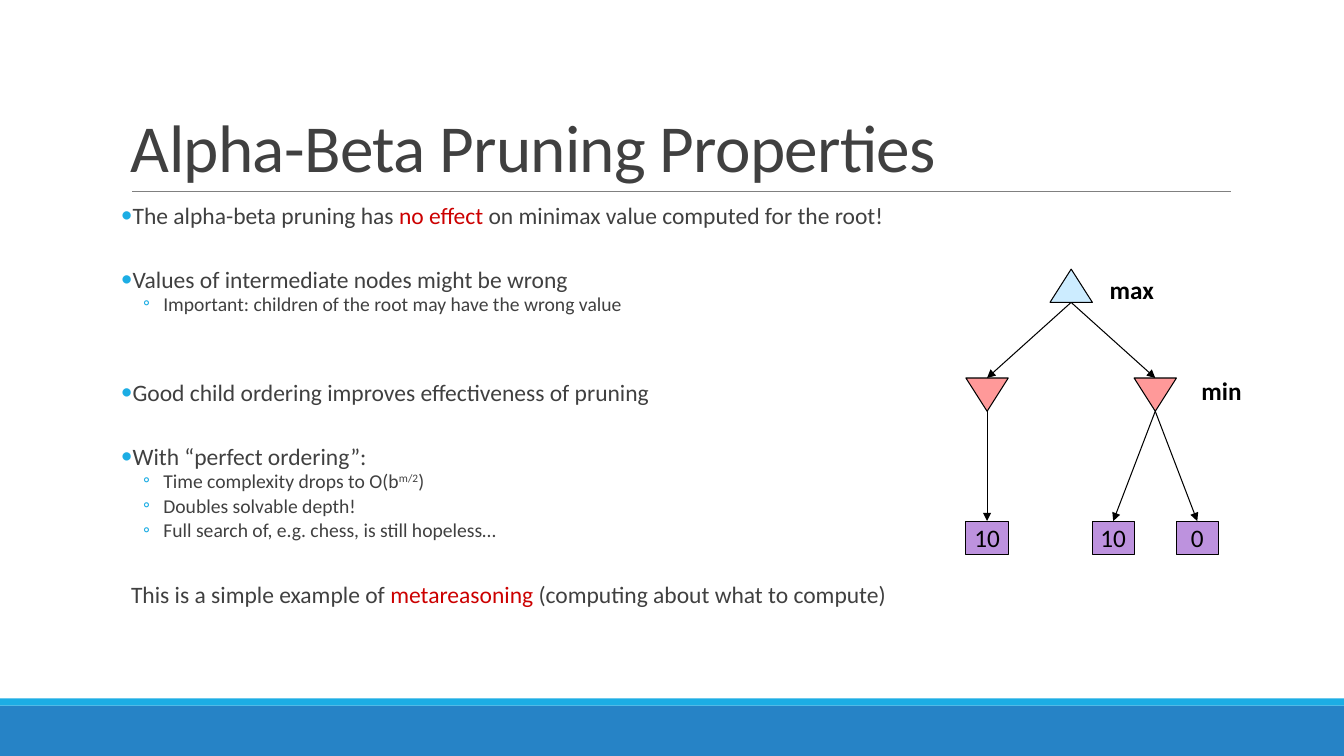
from lxml.etree import SubElement
from pptx import Presentation
from pptx.dml.color import RGBColor
from pptx.enum.shapes import MSO_CONNECTOR, MSO_SHAPE
from pptx.enum.text import MSO_ANCHOR, PP_ALIGN
from pptx.oxml.ns import qn
from pptx.util import Inches, Pt

COLORS = {
    "text": "404040", "accent": "CC0000", "black": "000000", "rule": "808080",
    "footer": "2683C6", "stripe": "1CADE4",
    "max": "CCECFF", "min": "FF9999", "leaf": "BD92DE",
}


def add_text(paragraph, text, size=18, color="black", bold=False, spacing=None, baseline=None):
    run = paragraph.add_run()
    run.text = text
    run.font.name = "Calibri"
    run.font.size = Pt(size)
    run.font.bold = bold
    run.font.color.rgb = RGBColor.from_string(COLORS[color])
    if spacing is not None:
        run.font._element.set("spc", str(spacing))
    if baseline is not None:
        run.font._element.set("baseline", str(baseline))


def add_block(preset, left, top, width, height, fill, outlined=True):
    shape = slide.shapes.add_shape(preset, Inches(left), Inches(top), Inches(width), Inches(height))
    shape.shadow.inherit = False
    shape.fill.solid()
    shape.fill.fore_color.rgb = RGBColor.from_string(COLORS[fill])
    if outlined:
        shape.line.color.rgb = RGBColor.from_string(COLORS["black"])
        shape.line.width = Pt(0.75)
    else:
        shape.line.fill.background()
    return shape


presentation = Presentation()
presentation.slide_width = Inches(13.33)
presentation.slide_height = Inches(7.5)
slide = presentation.slides.add_slide(presentation.slide_layouts[6])

add_block(MSO_SHAPE.RECTANGLE, 0, 7, 13.33, 0.5, "footer", outlined=False)
add_block(MSO_SHAPE.RECTANGLE, 0, 6.93, 13.33, 0.07, "stripe", outlined=False)

title = slide.shapes.add_textbox(Inches(1.2), Inches(0.31), Inches(11), Inches(1.59)).text_frame
title.word_wrap = True
title.vertical_anchor = MSO_ANCHOR.BOTTOM
title.paragraphs[0].line_spacing = 0.85
add_text(title.paragraphs[0], "Alpha-Beta Pruning Properties", size=48, color="text", spacing=-50)

body = slide.shapes.add_textbox(Inches(1.2), Inches(2.02), Inches(11), Inches(4.4)).text_frame
body.word_wrap = True
body.margin_left = body.margin_right = 0

LEVELS = {
    "point": {"size": 16.8, "left": 0.1, "hanging": 0.1, "bullet": "•", "before": 12, "after": 2},
    "detail": {"size": 14, "left": 0.42, "hanging": 0.2, "bullet": "◦", "before": 2, "after": 4},
    "closing": {"size": 16.8, "left": 0.1, "hanging": 0, "bullet": None, "before": 12, "after": 2},
}
GAP = 17.5
LINES = [
    ("point", 0, [("The alpha-beta pruning has ", {}), ("no effect", {"color": "accent"}),
                  (" on minimax value computed for the root!", {})]),
    ("point", 1, [("Values of intermediate nodes might be wrong", {})]),
    ("detail", 0, [("Important: children of the root may have the wrong value", {})]),
    ("point", 2, [("Good child ordering improves effectiveness of pruning", {})]),
    ("point", 1, [("With “perfect ordering”:", {})]),
    ("detail", 0, [("Time complexity drops to O(b", {}), ("m/2", {"baseline": 30000}), (")", {})]),
    ("detail", 0, [("Doubles solvable depth!", {})]),
    ("detail", 0, [("Full search of, e.g. chess, is still hopeless…", {})]),
    ("closing", 1, [("This is a simple example of ", {}), ("metareasoning ", {"color": "accent"}),
                    ("(computing about what to compute)", {})]),
]
for index, (level_name, gaps, runs) in enumerate(LINES):
    level = LEVELS[level_name]
    paragraph = body.add_paragraph() if index else body.paragraphs[0]
    paragraph.line_spacing = 0.7
    paragraph.space_before = Pt(level["before"] + gaps * GAP)
    paragraph.space_after = Pt(level["after"])
    properties = paragraph._p.get_or_add_pPr()
    properties.set("marL", str(Inches(level["left"])))
    properties.set("indent", str(-Inches(level["hanging"])))
    if level["bullet"]:
        bullet_color = SubElement(properties, qn("a:buClr"))
        SubElement(bullet_color, qn("a:srgbClr"), val=COLORS["stripe"])
        SubElement(properties, qn("a:buFont"), typeface="Calibri")
        SubElement(properties, qn("a:buChar"), char=level["bullet"])
    for text, formatting in runs:
        add_text(paragraph, text, **{"size": level["size"], "color": "text", **formatting})

NODE_WIDTH, NODE_HEIGHT = 0.42, 0.33
TREE_LEFT, COLUMN_STEP = 9.58, 0.417
MAX_TOP, MIN_TOP, LEAF_TOP = 2.67, 3.75, 5.17
centers = [TREE_LEFT + column * COLUMN_STEP + NODE_WIDTH / 2 for column in range(6)]

for kind, column, top, rotation in [("max", 2, MAX_TOP, 0), ("min", 0, MIN_TOP, 180), ("min", 4, MIN_TOP, 180)]:
    triangle = add_block(MSO_SHAPE.ISOSCELES_TRIANGLE, centers[column] - NODE_WIDTH / 2, top,
                         NODE_WIDTH, NODE_HEIGHT, kind)
    triangle.rotation = rotation

leaves = {}
for column, value in [(0, "10"), (3, "10"), (5, "0")]:
    leaf = add_block(MSO_SHAPE.RECTANGLE, centers[column] - NODE_WIDTH / 2, LEAF_TOP,
                     NODE_WIDTH, NODE_HEIGHT, "leaf")
    leaf.text_frame.word_wrap = False
    leaf.text_frame.vertical_anchor = MSO_ANCHOR.MIDDLE
    leaf.text_frame.paragraphs[0].alignment = PP_ALIGN.CENTER
    add_text(leaf.text_frame.paragraphs[0], value)
    leaves[column] = leaf

lines = [(1.31, 1.9, 12.21, 1.9, None)]
lines += [(centers[2], MAX_TOP + NODE_HEIGHT, centers[column], MIN_TOP, "min") for column in (0, 4)]
lines += [(centers[parent], MIN_TOP + NODE_HEIGHT, centers[column], LEAF_TOP, column)
          for parent, column in [(0, 0), (4, 3), (4, 5)]]
for start_x, start_y, end_x, end_y, target in lines:
    connector = slide.shapes.add_connector(MSO_CONNECTOR.STRAIGHT, Inches(start_x), Inches(start_y),
                                           Inches(end_x), Inches(end_y))
    is_rule = target is None
    connector.line.color.rgb = RGBColor.from_string(COLORS["rule" if is_rule else "black"])
    connector.line.width = Pt(0.5 if is_rule else 0.75)
    if not is_rule:
        SubElement(connector.line._get_or_add_ln(), qn("a:tailEnd"), type="triangle")
    SubElement(connector._element.spPr, qn("a:effectLst"))
    if target in leaves:
        connector.end_connect(leaves[target], 0)

for name, left, top in [("max", 10.86, 2.67), ("min", 11.75, 3.67)]:
    label = slide.shapes.add_textbox(Inches(left), Inches(top), Inches(0.73), Inches(0.4)).text_frame
    label.word_wrap = True
    label.vertical_anchor = MSO_ANCHOR.MIDDLE
    label.paragraphs[0].alignment = PP_ALIGN.CENTER
    add_text(label.paragraphs[0], name, bold=True)

presentation.save("out.pptx")
